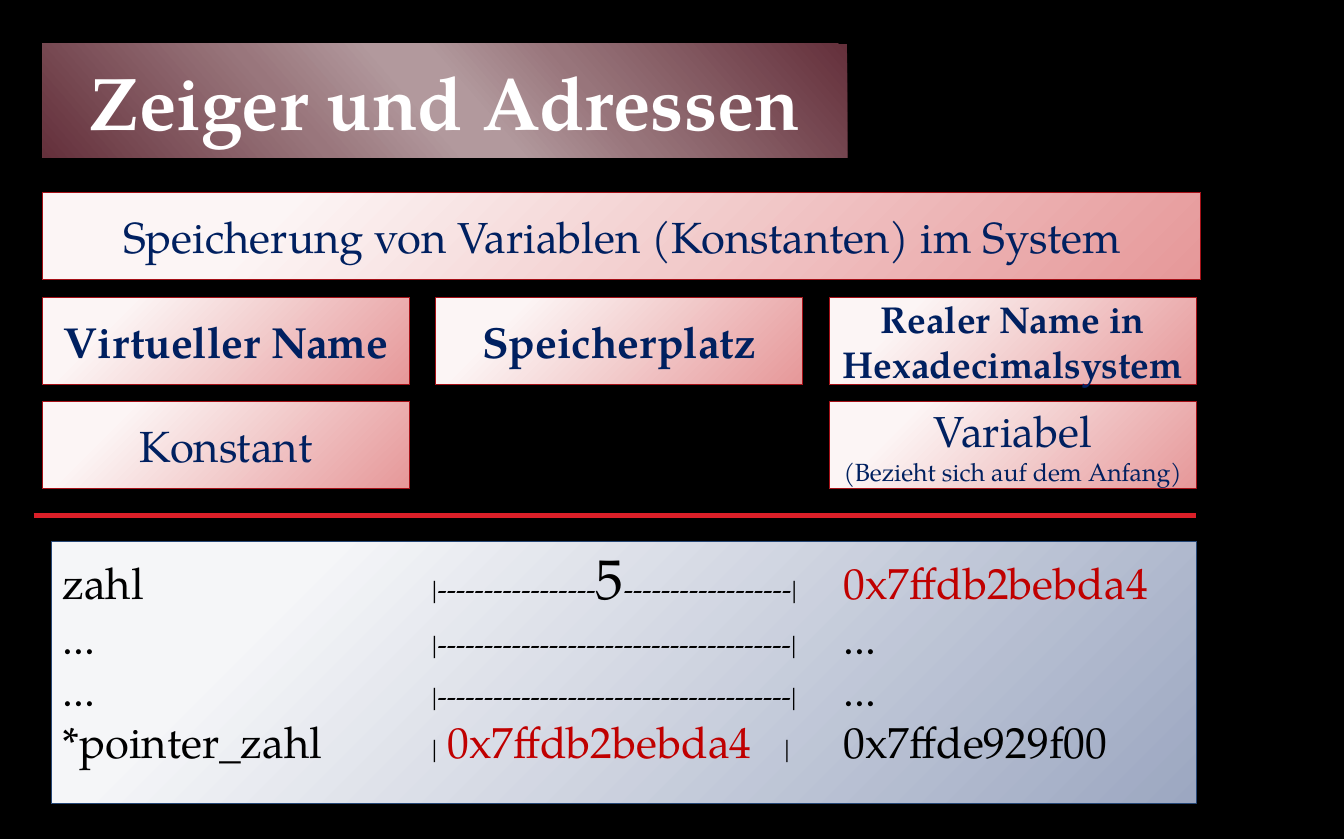
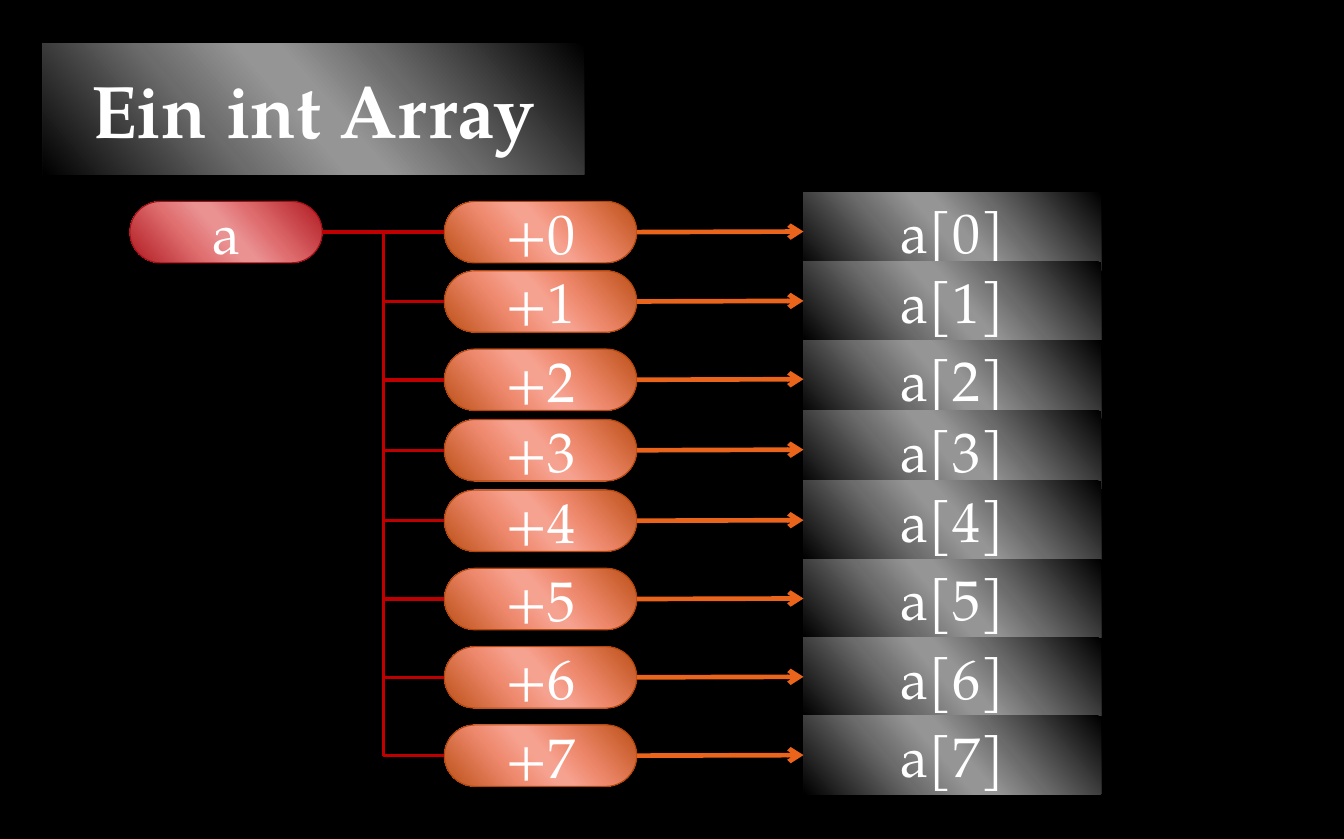
from dataclasses import dataclass

from pptx import Presentation
from pptx.dml.color import RGBColor
from pptx.enum.shapes import MSO_CONNECTOR as Link, MSO_SHAPE as Preset
from pptx.enum.text import MSO_ANCHOR as Anchor, MSO_AUTO_SIZE as AutoSize, PP_ALIGN as Align
from pptx.oxml import parse_xml
from pptx.oxml.ns import nsdecls, qn
from pptx.util import Inches, Pt


@dataclass(frozen=True)
class Theme:
    font: str = "TeX Gyre Pagella"
    black: str = "000000"
    white: str = "FFFFFF"
    navy: str = "002060"
    red: str = "C00000"
    rule: str = "DA1F28"
    orange: str = "EB641B"
    red_edge: str = "A51017"
    orange_edge: str = "B2460C"
    blue_edge: str = "264776"
    rose: tuple = ("FCF5F5", "E69899")
    ice: tuple = ("F5F6F8", "9CA7C1")
    wine: tuple = ("64303B", "98757B", "B2999D", "B2999D", "99767C", "64303B")
    steel: tuple = ("000000", "6B6B6B", "959595", "959595", "6C6C6C", "000000")
    amber: tuple = ("BC5016", "EE886C", "F6A290", "F6A290", "EE896E", "BC5016")
    crimson: tuple = ("AF1920", "DF6D6F", "EA9192", "EA9192", "E06F70", "AF1920")
    soft_stops: tuple = (20, 100)
    gloss_stops: tuple = (0, 33, 47, 53, 68, 100)
    title_size: int = 48
    large: int = 36
    normal: int = 28
    medium: int = 24
    small: int = 18
    note: int = 16
    edge: float = 0.75
    branch: float = 2.25
    heavy: float = 3


class Deck:
    def __init__(self, theme):
        self.theme = theme
        self.presentation = Presentation()
        self.presentation.slide_width = Inches(12.01)
        self.presentation.slide_height = Inches(7.5)
        background = self.presentation.slide_master.background.fill
        background.solid()
        background.fore_color.rgb = RGBColor.from_string(theme.black)
        self.slide = None

    def add_slide(self, title, width, height, colors):
        layout = self.presentation.slide_layouts.get_by_name("Title Only")
        self.slide = self.presentation.slides.add_slide(layout)
        shape = self.slide.shapes.title
        shape.left, shape.top = Inches(0.38), Inches(0.39)
        shape.width, shape.height = Inches(width), Inches(height)
        properties = shape.element.spPr
        properties.find(qn("a:xfrm")).addnext(
            parse_xml(f'<a:prstGeom {nsdecls("a")} prst="roundRect"><a:avLst/></a:prstGeom>'))
        self.paint(shape, colors)
        self.add_text(shape, [[(title, self.theme.title_size, self.theme.white)]], bold=True)

    def paint(self, shape, colors, edge=None):
        if len(colors) == 2:
            positions = self.theme.soft_stops
            direction = ('<a:path path="circle"><a:fillToRect l="-15000" t="-15000" '
                         'r="115000" b="115000"/></a:path>')
        else:
            positions = self.theme.gloss_stops
            direction = f'<a:lin ang="{139 * 60000}" scaled="0"/>'
        stops = "".join(
            f'<a:gs pos="{position * 1000}"><a:srgbClr val="{color}"/></a:gs>'
            for position, color in zip(positions, colors))
        shape.fill.background()
        properties = shape.element.spPr
        properties.replace(properties.find(qn("a:noFill")), parse_xml(
            f'<a:gradFill {nsdecls("a")} rotWithShape="1">'
            f'<a:gsLst>{stops}</a:gsLst>{direction}</a:gradFill>'))
        if edge:
            shape.line.color.rgb = RGBColor.from_string(edge)
            shape.line.width = Pt(self.theme.edge)
        else:
            shape.line.fill.background()
        shape.shadow.inherit = False

    def add_text(self, shape, lines, bold=False, align=Align.CENTER):
        frame = shape.text_frame
        frame.word_wrap = True
        frame.auto_size = AutoSize.NONE
        frame.vertical_anchor = Anchor.MIDDLE
        for index, line in enumerate(lines):
            paragraph = frame.add_paragraph() if index else frame.paragraphs[0]
            paragraph.alignment = align
            for text, size, color in line:
                run = paragraph.add_run()
                run.text = text
                run.font.name = self.theme.font
                run.font.size = Pt(size)
                run.font.bold = bold
                run.font.color.rgb = RGBColor.from_string(color)

    def box(self, left, top, width, height, colors, lines, edge=None, bold=False,
            align=Align.CENTER, preset=Preset.RECTANGLE):
        shape = self.slide.shapes.add_shape(
            preset, Inches(left), Inches(top), Inches(width), Inches(height))
        self.paint(shape, colors, edge)
        self.add_text(shape, lines, bold, align)
        return shape

    def card(self, left, top, lines, width=3.28, bold=False):
        theme = self.theme
        lines = [[(text, size, theme.navy)] for text, size in lines]
        return self.box(left, top, width, 0.78, theme.rose, lines, theme.red_edge, bold)

    def pill(self, left, top, text, colors, edge):
        theme = self.theme
        shape = self.box(left, top, 1.72, 0.55, colors, [[(text, theme.large, theme.white)]],
                         edge, preset=Preset.ROUNDED_RECTANGLE)
        shape.adjustments[0] = 0.5
        return shape

    def panel(self, left, top, width, height, lines, tabs):
        theme = self.theme
        shape = self.box(left, top, width, height, theme.ice, lines, theme.blue_edge,
                         align=Align.LEFT)
        shape.text_frame.margin_bottom = Inches(0.35)
        stops = "".join(f'<a:tab pos="{Inches(tab)}" algn="l"/>' for tab in tabs)
        for paragraph in shape.text_frame.paragraphs:
            paragraph._p.get_or_add_pPr().append(
                parse_xml(f'<a:tabLst {nsdecls("a")}>{stops}</a:tabLst>'))

    def line(self, start, end, color, width, kind=Link.STRAIGHT, arrow=False):
        connector = self.slide.shapes.add_connector(
            kind, *(Inches(value) for value in (*start, *end)))
        connector.line.color.rgb = RGBColor.from_string(color)
        connector.line.width = Pt(width)
        properties = connector.element.spPr
        if arrow:
            properties.find(qn("a:ln")).append(
                parse_xml(f'<a:tailEnd {nsdecls("a")} type="arrow"/>'))
        properties.append(parse_xml(f'<a:effectLst {nsdecls("a")}/>'))
        return connector

    def link(self, source, target, source_site, target_site, *style, **options):
        connector = self.line((0, 0), (1, 1), *style, **options)
        connector.begin_connect(source, source_site)
        connector.end_connect(target, target_site)


def build_pointer_slide(deck):
    theme = deck.theme
    deck.add_slide("Zeiger und Adressen", 7.19, 1.02, theme.wine)
    deck.card(0.38, 1.72, [("Speicherung von Variablen (Konstanten) im System", theme.normal)],
              width=10.35)
    columns = [0.38 + 3.515 * index for index in range(3)]
    headings = [("Virtueller Name", theme.normal), ("Speicherplatz", theme.normal),
                ("Realer Name in Hexadecimalsystem", theme.medium)]
    for left, heading in zip(columns, headings):
        deck.card(left, 2.66, [heading], bold=True)
    deck.card(columns[0], 3.59, [("Konstant", theme.normal)])
    deck.card(columns[2], 3.59, [("Variabel", theme.normal),
                                 ("(Bezieht sich auf dem Anfang)", theme.note)])
    deck.line((0.3, 4.61), (10.69, 4.61), theme.rule, theme.heavy)

    def normal(text, color=theme.black):
        return text, theme.normal, color

    def small(text):
        return text, theme.small, theme.black

    address = "0x7ffdb2bebda4"
    unused = [normal("..."), small("\t|" + "-" * 38 + "|\t"), normal("...")]
    deck.panel(0.46, 4.84, 10.23, 2.34, [
        [normal("zahl"), small("\t|" + "-" * 17), ("5", theme.large, theme.black),
         small("-" * 18 + "|\t"), normal(address, theme.red)],
        unused,
        unused,
        [normal("*pointer_zahl"), small("\t|\t"), normal(address, theme.red),
         small("\t|\t"), normal("0x7ffde929f00")],
    ], tabs=(3.3, 3.44, 6.45, 6.98))


def build_array_slide(deck):
    theme = deck.theme
    deck.add_slide("Ein int Array", 4.84, 1.17, theme.steel)
    tops = (1.8, 2.42, 3.12, 3.75, 4.38, 5.08, 5.78, 6.48)
    left_site, right_site = 1, 3
    base = deck.pill(1.16, tops[0], "a", theme.crimson, theme.red_edge)
    for index, top in enumerate(tops):
        cell = deck.box(7.18, top - 0.08, 2.66, 0.7, theme.steel,
                        [[(f"a[{index}]", theme.large, theme.white)]])
        offset = deck.pill(3.97, top, f"+{index}", theme.amber, theme.orange_edge)
        deck.link(offset, cell, right_site, left_site, theme.orange, theme.heavy, arrow=True)
        deck.link(base, offset, right_site, left_site, theme.red, theme.branch,
                  kind=Link.ELBOW if index else Link.STRAIGHT)


def main():
    deck = Deck(Theme())
    build_pointer_slide(deck)
    build_array_slide(deck)
    deck.presentation.save("out.pptx")


if __name__ == "__main__":
    main()
